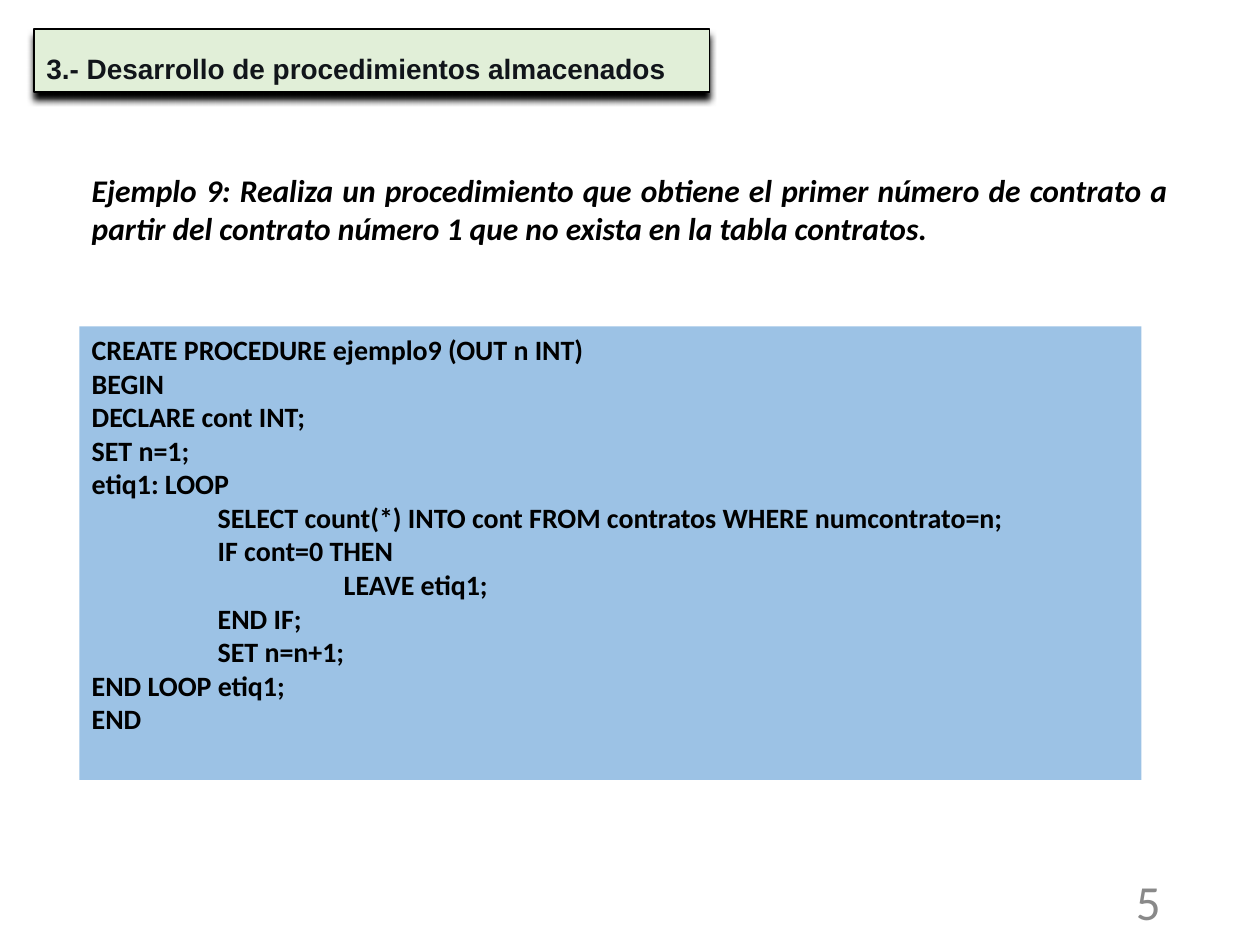
from pptx import Presentation
from pptx.dml.color import RGBColor
from pptx.enum.shapes import MSO_SHAPE as Shape
from pptx.enum.text import MSO_ANCHOR as Anchor, PP_ALIGN as Align
from pptx.oxml import parse_xml
from pptx.oxml.ns import nsdecls
from pptx.util import Inches, Pt

COLUMNS, ROWS = 100, 75
INDENT = Inches(1)

HEADING = "3.- Desarrollo de procedimientos almacenados"
TASK = ("Ejemplo 9: Realiza un procedimiento que obtiene el primer número de contrato "
        "a partir del contrato número 1 que no exista en la tabla contratos.")
# (indent level, code line)
PROCEDURE = [
    (0, "CREATE PROCEDURE ejemplo9 (OUT n INT)"),
    (0, "BEGIN"),
    (0, "DECLARE cont INT;"),
    (0, "SET n=1;"),
    (0, "etiq1: LOOP"),
    (1, "SELECT count(*) INTO cont FROM contratos WHERE numcontrato=n;"),
    (1, "IF cont=0 THEN"),
    (2, "LEAVE etiq1;"),
    (1, "END IF;"),
    (1, "SET n=n+1;"),
    (0, "END LOOP etiq1;"),
    (0, "END"),
]


def rgb(value):
    return RGBColor.from_string(value)


class SlideBuilder:
    """Holds the text style and the current slide; boxes are (column, row, columns, rows)."""

    font = dict(name="Calibri", size=Pt(16), bold=True, italic=False)
    ink = "000000"

    def __init__(self, prs):
        self.cell = prs.slide_width / COLUMNS, prs.slide_height / ROWS
        self.s = prs.slides.add_slide(prs.slide_layouts[6])

    def place(self, box):
        return [round(n * self.cell[i % 2]) for i, n in enumerate(box)]

    def fill_text(self, sp, lines, ink=None, align=Align.LEFT, anchor=Anchor.TOP,
                  spacing=1.0, **font):
        tf = sp.text_frame
        tf.word_wrap = True
        tf.vertical_anchor = anchor
        for i, (level, text) in enumerate(lines):
            p = tf.add_paragraph() if i else tf.paragraphs[0]
            p.alignment, p.line_spacing = align, spacing
            if level:
                p._p.get_or_add_pPr().set("marL", str(level * INDENT))
            r = p.add_run()
            r.text = text
            for key, value in {**self.font, **font}.items():
                setattr(r.font, key, value)
            r.font.color.rgb = rgb(ink or self.ink)

    def text(self, box, text, **style):
        sp = self.s.shapes.add_textbox(*self.place(box))
        self.fill_text(sp, [(0, text)], **style)

    def panel(self, box, fill, lines, line=None, **style):
        sp = self.s.shapes.add_shape(Shape.RECTANGLE, *self.place(box))
        sp.shadow.inherit = False
        sp.fill.solid()
        sp.fill.fore_color.rgb = rgb(fill)
        if line:
            sp.line.color.rgb = rgb(line)
            sp.line.width = Pt(0.75)
        else:
            sp.line.fill.background()
        self.fill_text(sp, lines, **style)
        return sp

    def drop_shadow(self, sp, color="000000", size=Pt(4)):
        """Cast an opaque shadow straight down."""
        effects = sp._element.spPr.find("{*}effectLst")
        effects.append(parse_xml(
            f'<a:outerShdw {nsdecls("a")} blurRad="{size}" dist="{size}" dir="5400000" '
            f'algn="ctr" rotWithShape="0"><a:srgbClr val="{color}"/></a:outerShdw>'))


def main():
    prs = Presentation()
    prs.slide_width, prs.slide_height = Inches(10), Inches(7.5)
    b = SlideBuilder(prs)
    heading = b.panel((2.7, 2.3, 53.6, 5), "E1EFD8", [(0, HEADING)], line="000000",
                      ink="11151A", name="Arial", spacing=1.5)
    b.drop_shadow(heading)
    b.text((70.6, 69.5, 22.5, 4), "5", ink="898989", align=Align.RIGHT,
           anchor=Anchor.MIDDLE, size=Pt(28), bold=False)
    b.text((6.3, 13.1, 87.4, 7.1), TASK, align=Align.JUSTIFY, size=Pt(18), italic=True)
    b.panel((6.3, 25.9, 84.3, 36), "9CC2E5", PROCEDURE)
    prs.save("out.pptx")


if __name__ == "__main__":
    main()
